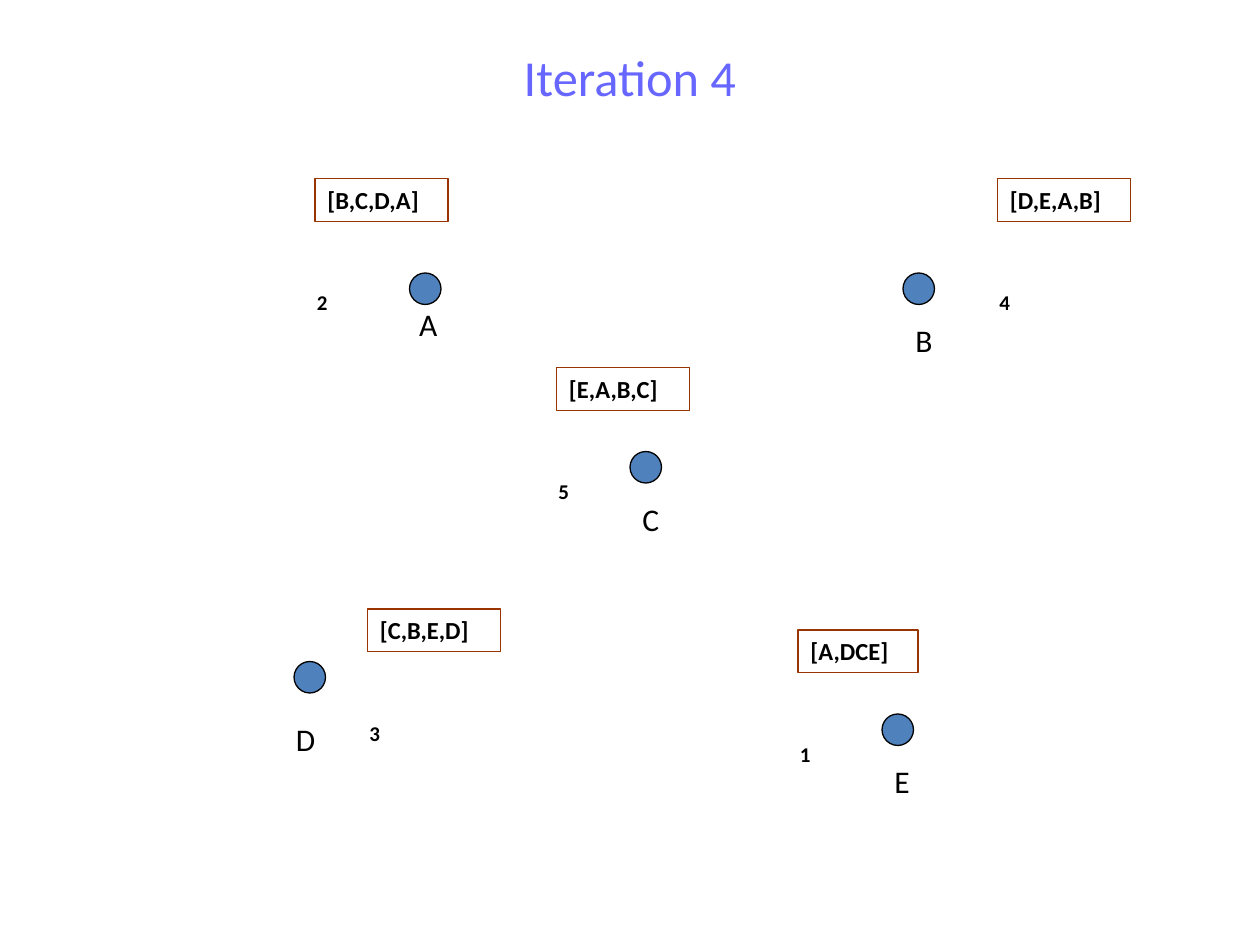
"""Build the Iteration 4 slide: five nodes, each with its tour and number."""
from dataclasses import dataclass

from pptx import Presentation
from pptx.dml.color import RGBColor
from pptx.enum.shapes import MSO_SHAPE
from pptx.enum.text import MSO_ANCHOR, PP_ALIGN
from pptx.util import Pt

OVAL, RECT = MSO_SHAPE.OVAL, MSO_SHAPE.RECTANGLE
LEFT, CENTER = PP_ALIGN.LEFT, PP_ALIGN.CENTER
TOP, MIDDLE = MSO_ANCHOR.TOP, MSO_ANCHOR.MIDDLE


@dataclass
class Theme:
    """Colours, type sizes and line width of the slide."""
    font: str = "Calibri"
    ink: str = "000000"
    title: str = "6767FF"
    node: str = "4F81BD"
    frame: str = "993300"
    head: float = 28.8
    name: float = 18
    tour: float = 14
    rank: float = 12
    line: float = 0.75


THEME = Theme()
TITLE = "Iteration 4"
NODES = [
    {"name": "A", "dot": (234, 156), "label": (232.5, 170.5),
     "tour": "[B,C,D,A]", "box": (180, 102, 76), "rank": "2"},
    {"name": "B", "dot": (516, 156), "label": (516, 180),
     "tour": "[D,E,A,B]", "box": (570, 102, 76), "rank": "4"},
    {"name": "C", "dot": (360, 258), "label": (360, 282),
     "tour": "[E,A,B,C]", "box": (318, 210, 76), "rank": "5"},
    {"name": "D", "dot": (168, 378), "label": (162, 408),
     "tour": "[C,B,E,D]", "box": (210, 348, 76), "rank": "3"},
    {"name": "E", "dot": (504, 408), "label": (504, 432),
     "tour": "[A,DCE]", "box": (456, 360, 68.5), "rank": "1"},
]
DOT = 18
LABEL = (27.5, 29)
BOX_H = 24.5
RANK = (21, 21.75)
SHIFT = (-6, 60)


def rgb(code):
    """Turn a hex code into a colour."""
    return RGBColor.from_string(code)


def write(shape, text, size, color=THEME.ink, bold=False, align=LEFT, anchor=TOP):
    """Put one styled line of text in a shape."""
    frame = shape.text_frame
    frame.word_wrap = True
    frame.vertical_anchor = anchor
    para = frame.paragraphs[0]
    para.alignment = align
    run = para.add_run()
    run.text = text
    style = {"name": THEME.font, "size": Pt(size), "bold": bold}
    for key, value in style.items():
        setattr(run.font, key, value)
    run.font.color.rgb = rgb(color)


def add_text(slide, area, text, size, **style):
    """Add a plain text box."""
    write(slide.shapes.add_textbox(*map(Pt, area)), text, size, **style)


def add_form(slide, kind, area, line, fill=None):
    """Add an outlined shape, filled if a colour is given."""
    shape = slide.shapes.add_shape(kind, *map(Pt, area))
    shape.shadow.inherit = False
    if fill:
        shape.fill.solid()
        shape.fill.fore_color.rgb = rgb(fill)
    else:
        shape.fill.background()
    shape.line.color.rgb = rgb(line)
    shape.line.width = Pt(THEME.line)
    return shape


def add_node(slide, node):
    """Draw a node with its name, tour and number."""
    left, top, width = node["box"]
    add_form(slide, OVAL, (*node["dot"], DOT, DOT), THEME.ink, THEME.node)
    add_text(slide, (*node["label"], *LABEL), node["name"], THEME.name)
    spot = (left + SHIFT[0], top + SHIFT[1])
    add_text(slide, (*spot, *RANK), node["rank"], THEME.rank, bold=True)
    box = add_form(slide, RECT, (left, top, width, BOX_H), THEME.frame)
    write(box, node["tour"], THEME.tour, bold=True)


def main():
    """Make the deck and save it."""
    deck = Presentation()
    deck.slide_width, deck.slide_height = Pt(720), Pt(540)
    slide = deck.slides.add_slide(deck.slide_layouts[6])
    add_text(slide, (36, 21.6, 648, 44.6), TITLE, THEME.head,
             color=THEME.title, align=CENTER, anchor=MIDDLE)
    for node in NODES:
        add_node(slide, node)
    deck.save("out.pptx")


if __name__ == "__main__":
    main()
